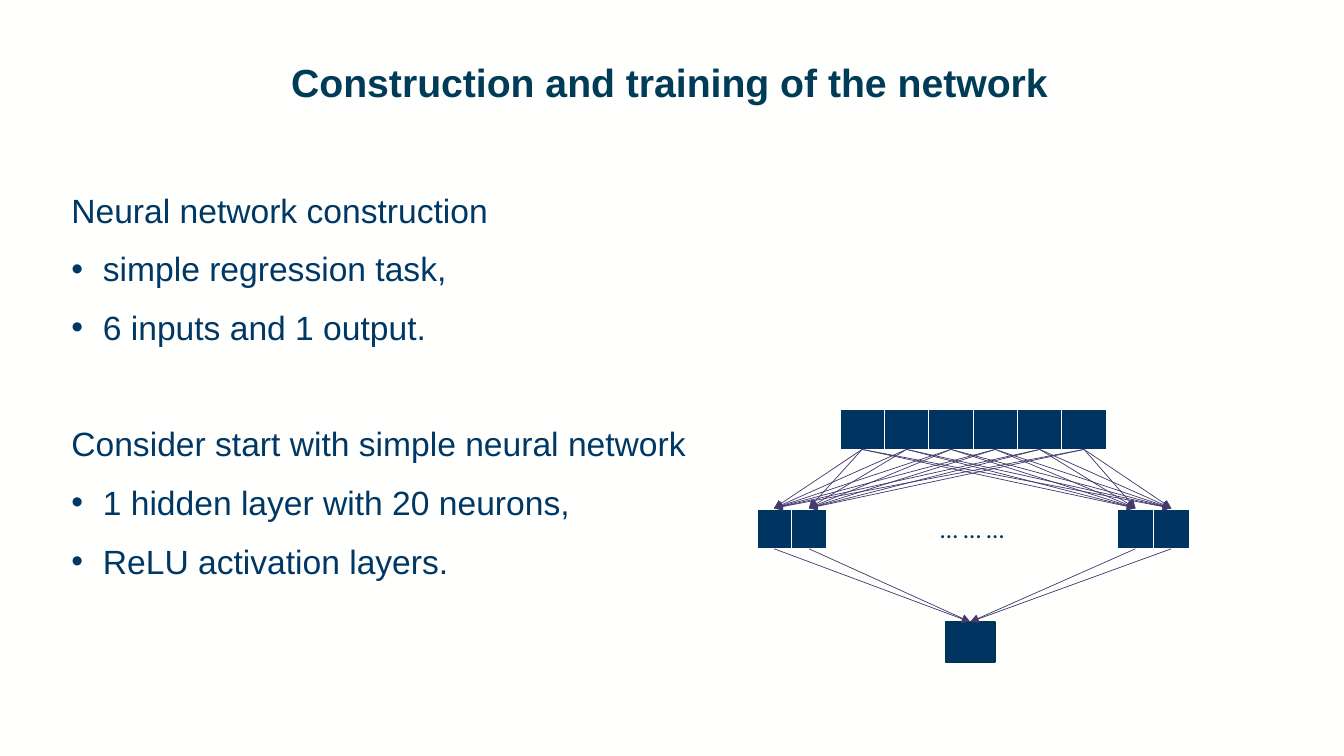
from dataclasses import dataclass
from itertools import accumulate

from lxml import etree
from pptx import Presentation
from pptx.dml.color import RGBColor
from pptx.enum.shapes import MSO_CONNECTOR, MSO_SHAPE
from pptx.enum.text import PP_ALIGN
from pptx.oxml.ns import qn
from pptx.shapes.autoshape import Shape
from pptx.shapes.connector import Connector
from pptx.slide import Slide
from pptx.table import _Cell
from pptx.text.text import TextFrame, _Paragraph
from pptx.util import Pt

STRAIGHT = MSO_CONNECTOR.STRAIGHT
RECTANGLE = MSO_SHAPE.RECTANGLE
CENTER = PP_ALIGN.CENTER

PAPER = RGBColor(0xFF, 0xFF, 0xFE)
TITLE_BLUE = RGBColor(0x00, 0x3B, 0x58)
TEXT_BLUE = RGBColor(0x00, 0x38, 0x65)
NEURON_BLUE = RGBColor(0x00, 0x35, 0x61)
OUTPUT_EDGE = RGBColor(0x00, 0x33, 0x4D)
LINK_PURPLE = RGBColor(0x44, 0x3A, 0x6E)

BORDERS = {"a:lnL": 1, "a:lnR": 1, "a:lnT": 1, "a:lnB": 3}
LINE_GAP = 13.2
SECTION_GAP = 54
BULLET_INDENT = 22.5


@dataclass(frozen=True)
class Section:
    heading: str
    points: tuple[str, ...]


@dataclass(frozen=True)
class Layer:
    left: float
    top: float
    widths: tuple[float, ...]
    height: float = 29.5
    gap_column: int | None = None

    def neuron_centers(self) -> list[float]:
        ends = accumulate(self.widths)
        return [
            self.left + end - width / 2
            for column, (end, width) in enumerate(zip(ends, self.widths))
            if column != self.gap_column
        ]


SECTIONS = (
    Section("Neural network construction",
            ("simple regression task,", "6 inputs and 1 output.")),
    Section("Consider start with simple neural network",
            ("1 hidden layer with 20 neurons,", "ReLU activation layers.")),
)
INPUTS = Layer(600, 292.3, (31.7,) * 6)
HIDDEN = Layer(540.7, 363.6, (24.5, 25.2, 208.1, 25.2, 25.9), gap_column=2)
INPUT_EXIT = 321
HIDDEN_ENTRY = 363
HIDDEN_EXIT = 392


def add_text(slide: Slide, left: float, top: float, width: float,
             height: float) -> TextFrame:
    frame = slide.shapes.add_textbox(Pt(left), Pt(top), Pt(width), Pt(height)).text_frame
    frame.word_wrap = True
    return frame


def style(paragraph: _Paragraph, name: str, size: float, color: RGBColor) -> None:
    paragraph.font.name = name
    paragraph.font.size = Pt(size)
    paragraph.font.color.rgb = color


def add_bullet(paragraph: _Paragraph) -> None:
    properties = paragraph._p.get_or_add_pPr()
    properties.set("marL", str(Pt(BULLET_INDENT)))
    properties.set("indent", str(-Pt(BULLET_INDENT)))
    etree.SubElement(properties, qn("a:buFont")).set("typeface", "Arial")
    etree.SubElement(properties, qn("a:buChar")).set("char", "•")


def write_sections(frame: TextFrame, sections: tuple[Section, ...]) -> None:
    for number, section in enumerate(sections):
        heading = frame.add_paragraph() if number else frame.paragraphs[0]
        heading.text = section.heading
        if number:
            heading.space_before = Pt(SECTION_GAP)
        style(heading, "Arial", 24, TEXT_BLUE)
        for point in section.points:
            item = frame.add_paragraph()
            item.text = point
            item.space_before = Pt(LINE_GAP)
            add_bullet(item)
            style(item, "Arial", 24, TEXT_BLUE)


def paint_cell(cell: _Cell, color: RGBColor) -> None:
    cell.fill.solid()
    cell.fill.fore_color.rgb = color
    properties = cell._tc.get_or_add_tcPr()
    for position, (tag, weight) in enumerate(BORDERS.items()):
        border = etree.Element(qn(tag), w=str(Pt(weight)))
        solid = etree.SubElement(border, qn("a:solidFill"))
        etree.SubElement(solid, qn("a:srgbClr")).set("val", str(PAPER))
        properties.insert(position, border)


def add_layer(slide: Slide, layer: Layer) -> None:
    neurons = slide.shapes.add_table(
        1, len(layer.widths), Pt(layer.left), Pt(layer.top),
        Pt(sum(layer.widths)), Pt(layer.height)).table
    neurons.first_row = False
    neurons.horz_banding = False
    neurons.rows[0].height = Pt(layer.height)
    for column, width in enumerate(layer.widths):
        neurons.columns[column].width = Pt(width)
        cell = neurons.cell(0, column)
        if column == layer.gap_column:
            paint_cell(cell, PAPER)
            ellipsis = cell.text_frame.paragraphs[0]
            ellipsis.text = "… … …"
            ellipsis.alignment = CENTER
            style(ellipsis, "Calibri", 18, TEXT_BLUE)
        else:
            paint_cell(cell, NEURON_BLUE)


def add_output(slide: Slide) -> Shape:
    output = slide.shapes.add_shape(RECTANGLE, Pt(675.4), Pt(444.2), Pt(35.3), Pt(28.8))
    output.shadow.inherit = False
    output.fill.solid()
    output.fill.fore_color.rgb = NEURON_BLUE
    output.line.color.rgb = OUTPUT_EDGE
    output.line.width = Pt(1)
    return output


def add_link(slide: Slide, x1: float, y1: float, x2: float, y2: float) -> Connector:
    link = slide.shapes.add_connector(STRAIGHT, Pt(x1), Pt(y1), Pt(x2), Pt(y2))
    link.line.color.rgb = LINK_PURPLE
    link.line.width = Pt(0.5)
    etree.SubElement(link.line._get_or_add_ln(), qn("a:tailEnd")).set("type", "triangle")
    etree.SubElement(link._element.spPr, qn("a:effectLst"))
    return link


def main() -> None:
    deck = Presentation()
    deck.slide_width, deck.slide_height = Pt(960), Pt(540)
    slide = deck.slides.add_slide(deck.slide_layouts[6])
    slide.background.fill.solid()
    slide.background.fill.fore_color.rgb = PAPER

    title = add_text(slide, 200.9, 41.8, 725, 69.8).paragraphs[0]
    title.text = "Construction and training of the network"
    title.line_spacing = 0.9
    style(title, "Arial", 28, TITLE_BLUE)
    title.font.bold = True

    write_sections(add_text(slide, 43.9, 131.8, 507, 283.7), SECTIONS)

    add_layer(slide, INPUTS)
    add_layer(slide, HIDDEN)
    output = add_output(slide)

    for hidden_x in HIDDEN.neuron_centers():
        for input_x in INPUTS.neuron_centers():
            add_link(slide, input_x, INPUT_EXIT, hidden_x, HIDDEN_ENTRY)
        link = add_link(slide, hidden_x, HIDDEN_EXIT, 693, 444.2)
        link.end_connect(output, 0)

    deck.save("out.pptx")


if __name__ == "__main__":
    main()
